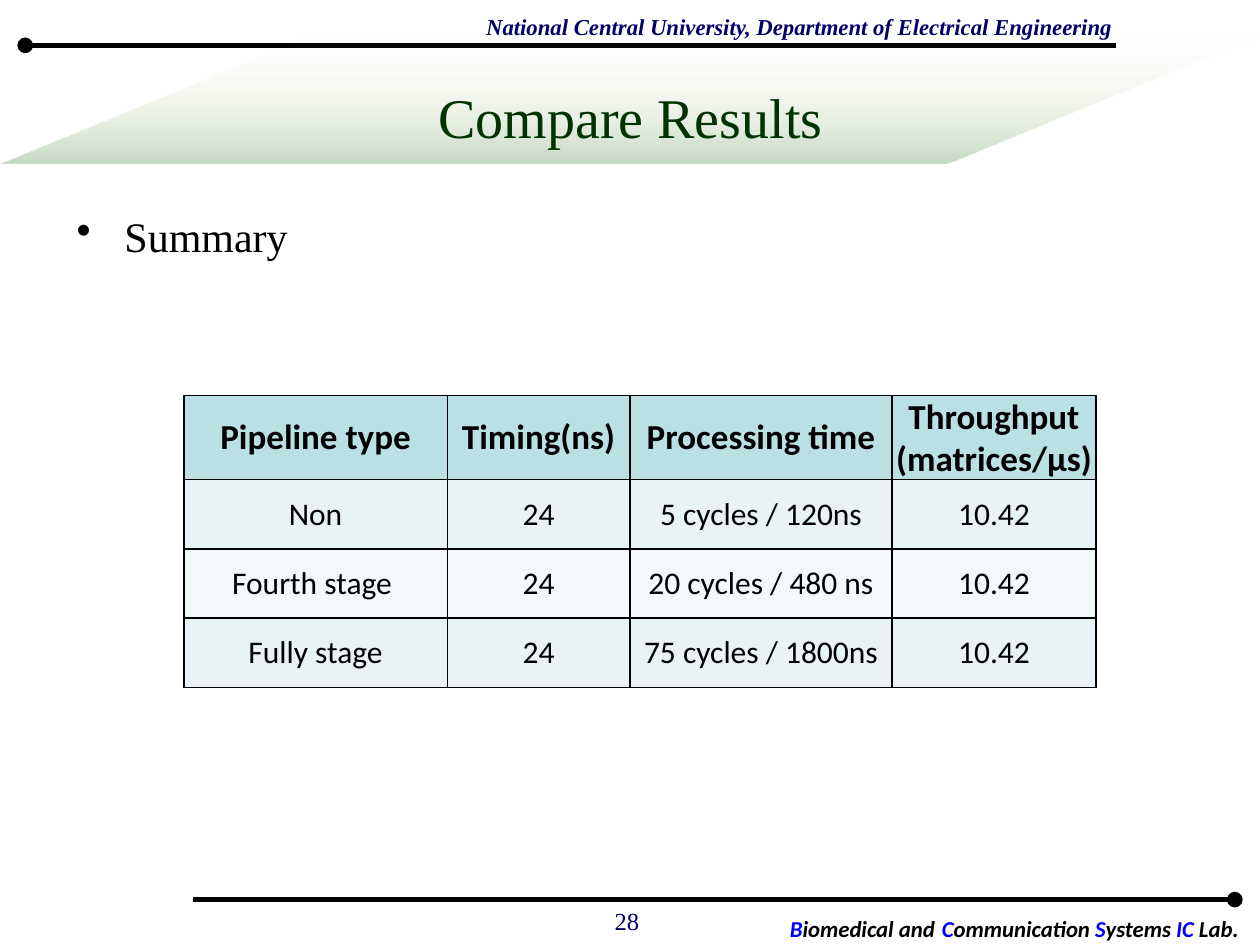
from dataclasses import dataclass

from lxml import etree
from pptx import Presentation, util as u
from pptx.dml.color import RGBColor
from pptx.enum import shapes, text
from pptx.oxml import parse_xml
from pptx.oxml.ns import nsdecls, qn

WIDTH, HEIGHT = u.Inches(10), u.Inches(7.5)


@dataclass(frozen=True)
class Theme:
    serif: str = "Times New Roman"
    sans: str = "Calibri"
    black: str = "000000"
    white: str = "FFFFFF"
    navy: str = "000066"
    blue: str = "0000FF"
    green: str = "003300"
    head_fill: str = "BBE0E3"
    row_fills: tuple = ("E7F3F4", "F3F9FA")
    # colour, position and opacity, the last two in percent
    banner: tuple = (("DDEBCF", 0, 0), ("9CB86E", 50, 12), ("156B13", 100, 25))
    title: int = 32
    body: int = 24
    table_head: int = 20
    table_body: int = 18
    number: int = 14
    small: int = 13
    rule: int = 3
    border: int = 1


THEME = Theme()


@dataclass(frozen=True)
class Area:
    """A rectangle in percent of the slide's width and height."""
    left: float
    top: float
    width: float
    height: float

    def lengths(self) -> tuple:
        return (across(self.left), down(self.top),
                across(self.width), down(self.height))


@dataclass(frozen=True)
class Style:
    size: int
    color: str
    face: str = THEME.serif
    bold: bool = False
    italic: bool = False


@dataclass(frozen=True)
class Label:
    words: str
    area: Area
    style: Style
    align: text.PP_ALIGN = text.PP_ALIGN.LEFT
    anchor: text.MSO_ANCHOR = text.MSO_ANCHOR.TOP
    wrap: bool = True


@dataclass(frozen=True)
class Rule:
    """A horizontal line that starts with a dot, in percent."""
    start: float
    end: float
    top: float


def across(percent: float) -> int:
    return round(WIDTH * percent / 100)


def down(percent: float) -> int:
    return round(HEIGHT * percent / 100)


def apply_style(font, style: Style) -> None:
    font.name, font.size = style.face, u.Pt(style.size)
    font.bold, font.italic = style.bold, style.italic
    font.color.rgb = RGBColor.from_string(style.color)


def draw_label(page, label: Label):
    box = page.shapes.add_textbox(*label.area.lengths())
    frame = box.text_frame
    frame.word_wrap, frame.vertical_anchor = label.wrap, label.anchor
    para = frame.paragraphs[0]
    para.text, para.alignment = label.words, label.align
    apply_style(para.font, label.style)
    return para


def add_bullet(para) -> None:
    para.space_before = u.Pt(4.8)
    props = para._p.get_or_add_pPr()
    props.set("marL", str(u.Inches(0.38)))
    props.set("indent", str(-u.Inches(0.38)))
    etree.SubElement(props, qn("a:buChar")).set("char", "•")
    # The bullet has to come before the paragraph's default font.
    props.append(props.find(qn("a:defRPr")))


def draw_rule(page, rule: Rule) -> None:
    line = page.shapes.add_connector(
        shapes.MSO_CONNECTOR.STRAIGHT, across(rule.start), down(rule.top),
        across(rule.end), down(rule.top))
    line.line.width = u.Pt(THEME.rule)
    line.line.color.rgb = RGBColor.from_string(THEME.black)
    etree.SubElement(line.line._get_or_add_ln(), qn("a:headEnd")).set("type", "oval")
    etree.SubElement(line._element.spPr, qn("a:effectLst"))


def draw_plain_shape(page, kind, area: Area):
    shape = page.shapes.add_shape(kind, *area.lengths())
    shape.shadow.inherit = False
    shape.line.fill.background()
    return shape


def draw_banner(page, area: Area) -> None:
    banner = draw_plain_shape(page, shapes.MSO_SHAPE.PARALLELOGRAM, area)
    banner.adjustments[0] = 2.44
    banner.fill.gradient()
    banner.fill.gradient_angle = 270
    stops = banner._element.spPr.find(qn("a:gradFill")).find(qn("a:gsLst"))
    stops.clear()
    for color, position, opacity in THEME.banner:
        stops.append(parse_xml(
            f'<a:gs {nsdecls("a")} pos="{position * 1000}"><a:srgbClr val="{color}">'
            f'<a:alpha val="{opacity * 1000}"/></a:srgbClr></a:gs>'))


def draw_lab_name(page, area: Area) -> None:
    box = draw_plain_shape(page, shapes.MSO_SHAPE.RECTANGLE, area)
    box.fill.solid()
    box.fill.fore_color.rgb = RGBColor.from_string(THEME.white)
    box.text_frame.vertical_anchor = text.MSO_ANCHOR.TOP
    para = box.text_frame.paragraphs[0]
    para.alignment = text.PP_ALIGN.CENTER
    initial = Style(THEME.small, THEME.blue, THEME.sans, True, True)
    rest = Style(THEME.small, THEME.black, THEME.sans, True, True)
    gap = Style(THEME.table_body, THEME.black, THEME.sans)
    for words, style in (("B", initial), ("iomedical and", rest), (" ", gap),
                         ("C", initial), ("ommunication ", rest),
                         ("S", initial), ("ystems ", rest),
                         ("IC", initial), (" Lab.", rest)):
        span = para.add_run()
        span.text = words
        apply_style(span.font, style)


def add_borders(cell) -> None:
    props = cell._tc.get_or_add_tcPr()
    for place, side in enumerate(("lnL", "lnR", "lnT", "lnB")):
        props.insert(place, parse_xml(
            f'<a:{side} {nsdecls("a")} w="{u.Pt(THEME.border)}"><a:solidFill>'
            f'<a:srgbClr val="{THEME.black}"/></a:solidFill></a:{side}>'))


def draw_table(page, area: Area, columns: tuple, rows: tuple) -> None:
    table = page.shapes.add_table(len(rows), len(columns), *area.lengths()).table
    for column, share in zip(table.columns, columns):
        column.width = across(share)
    for r, row in enumerate(rows):
        fill = THEME.row_fills[(r - 1) % 2] if r else THEME.head_fill
        size = THEME.table_body if r else THEME.table_head
        style = Style(size, THEME.black, THEME.sans, bold=r == 0)
        for c, words in enumerate(row):
            cell = table.cell(r, c)
            cell.text = words
            cell.vertical_anchor = text.MSO_ANCHOR.MIDDLE
            if c == len(columns) - 1:
                cell.margin_left = cell.margin_right = 0
                cell.margin_top = cell.margin_bottom = 0
            cell.fill.solid()
            cell.fill.fore_color.rgb = RGBColor.from_string(fill)
            add_borders(cell)
            for para in cell.text_frame.paragraphs:
                para.alignment = text.PP_ALIGN.CENTER
                apply_style(para.font, style)


def main() -> None:
    deck = Presentation()
    deck.slide_width, deck.slide_height = WIDTH, HEIGHT
    page = deck.slides.add_slide(deck.slide_layouts[6])

    draw_rule(page, Rule(2, 88.6, 4.8))
    draw_label(page, Label(
        "National Central University, Department of Electrical Engineering",
        Area(37.6, 0.67, 51.8, 4.27),
        Style(THEME.small, THEME.navy, bold=True, italic=True), wrap=False))
    draw_banner(page, Area(0, 3.73, 100, 13.6))
    draw_lab_name(page, Area(61, 95.2, 39, 4.27))
    draw_rule(page, Rule(98, 15.3, 95.2))
    add_bullet(draw_label(page, Label(
        "Summary", Area(5.1, 21.6, 90, 69.33), Style(THEME.body, THEME.black))))
    draw_label(page, Label(
        "Compare Results", Area(5.1, 4, 89.9, 16.67), Style(THEME.title, THEME.green),
        text.PP_ALIGN.CENTER, text.MSO_ANCHOR.MIDDLE))
    draw_label(page, Label(
        "28", Area(38.2, 95.2, 13.5, 4.8), Style(THEME.number, THEME.navy),
        text.PP_ALIGN.RIGHT))
    draw_table(page, Area(14.6, 41.87, 72.4, 29.33), (20.9, 14.5, 20.8, 16.2), (
        ("Pipeline type", "Timing(ns)", "Processing time", "Throughput\n(matrices/µs)"),
        ("Non", "24", "5 cycles / 120ns", "10.42"),
        ("Fourth stage ", "24", "20 cycles / 480 ns", "10.42"),
        ("Fully stage", "24", "75 cycles / 1800ns", "10.42")))
    deck.save("out.pptx")


if __name__ == "__main__":
    main()
